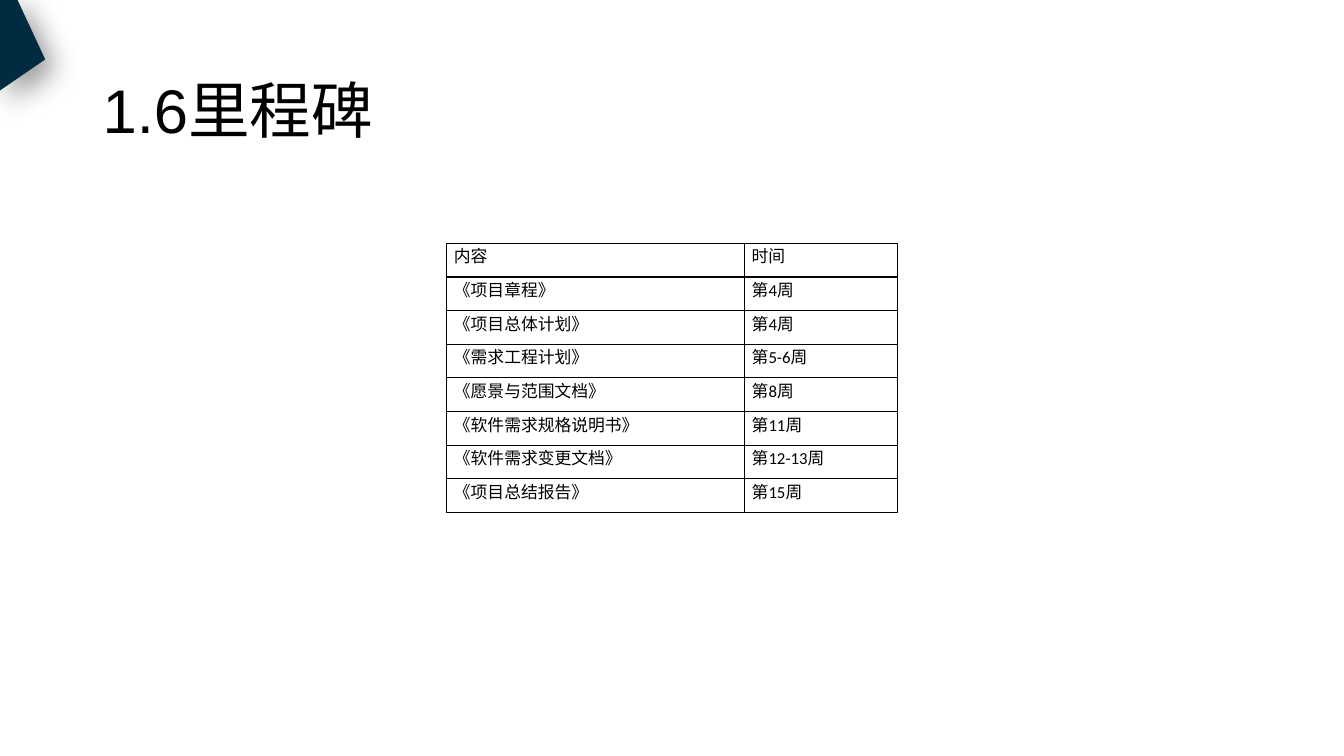
import pptx
import pptx.util
import pptx.dml.color
import pptx.enum.text
import pptx.oxml
import pptx.oxml.ns
import lxml.etree

Cm = pptx.util.Cm
Pt = pptx.util.Pt
qn = pptx.oxml.ns.qn
SPACE = pptx.oxml.ns.nsdecls("a")
HAN = "Noto Sans CJK SC"
ROWS = [
    (["内容"], ["时间"]),
    (["《项目章程》"], ["第", "4", "周"]),
    (["《项目总体计划》"], ["第", "4", "周"]),
    (["《需求工程计划》"], ["第", "5-6", "周"]),
    (["《愿景与范围文档》"], ["第", "8", "周"]),
    (["《软件需求规格说明书》"], ["第", "11", "周"]),
    (["《软件需求变更文档》"], ["第", "12-13", "周"]),
    (["《项目总结报告》"], ["第", "15", "周"]),
]


def paint(text):
    return pptx.dml.color.RGBColor.from_string(text)


def add_run(para, text, size, face):
    run = para.add_run()
    run.text = text
    run.font.size = Pt(size)
    run.font.bold = False
    run.font.color.rgb = paint("000000")
    run.font.name = face
    east = lxml.etree.SubElement(run._r.get_or_add_rPr(), qn("a:ea"))
    east.set("typeface", HAN)


def add_title(slide, left, top, width, height):
    title = slide.shapes.title
    title.left, title.top = Cm(left), Cm(top)
    title.width, title.height = Cm(width), Cm(height)
    frame = title.text_frame
    frame.word_wrap = True
    frame.vertical_anchor = pptx.enum.text.MSO_ANCHOR.MIDDLE
    para = frame.paragraphs[0]
    para.alignment = pptx.enum.text.PP_ALIGN.LEFT
    para.line_spacing = 0.9
    add_run(para, "1.6里程碑", 44, "Arial")


def add_corner(slide, left, top, width, height):
    spots = [(0.38, 0), (0, 0), (0, 1), (1, 0.66)]
    points = [(Cm(left + x * width), Cm(top + y * height)) for x, y in spots]
    build = slide.shapes.build_freeform(*points[0])
    build.add_line_segments(points[1:], close=True)
    shape = build.convert_to_shape()
    shape.fill.solid()
    shape.fill.fore_color.rgb = paint("002B41")
    shape.line.fill.background()
    shape._element.spPr.append(pptx.oxml.parse_xml(
        f'<a:effectLst {SPACE}><a:outerShdw blurRad="{Pt(20)}" '
        f'dist="{Pt(10)}" dir="2700000" algn="tl" rotWithShape="0">'
        '<a:srgbClr val="000000"><a:alpha val="40000"/></a:srgbClr>'
        '</a:outerShdw></a:effectLst>'))


def add_edges(cell):
    props = cell._tc.get_or_add_tcPr()
    for spot, side in enumerate("LRTB"):
        props.insert(spot, pptx.oxml.parse_xml(
            f'<a:ln{side} {SPACE} w="{Pt(1)}"><a:solidFill>'
            f'<a:srgbClr val="080000"/></a:solidFill></a:ln{side}>'))


def add_grid(slide, left, top, width, height):
    shape = slide.shapes.add_table(
        len(ROWS), 2, Cm(left), Cm(top), Cm(width), Cm(height))
    table = shape.table
    table.first_row = False
    table.horz_banding = False
    for col, share in zip(table.columns, (0.66, 0.34)):
        col.width = Cm(width * share)
    for row, texts in zip(table.rows, ROWS):
        row.height = Cm(height / len(ROWS))
        for cell, parts in zip(row.cells, texts):
            cell.margin_left = cell.margin_right = Cm(0.19)
            cell.margin_top = cell.margin_bottom = 0
            cell.fill.background()
            add_edges(cell)
            for part in parts:
                face = "Calibri" if part[0].isdigit() else HAN
                add_run(cell.text_frame.paragraphs[0], part, 12, face)


def main():
    deck = pptx.Presentation()
    deck.slide_width, deck.slide_height = Cm(33.87), Cm(19.05)
    slide = deck.slides.add_slide(deck.slide_layouts[5])
    add_title(slide, 2.33, 1.01, 29.21, 3.68)
    add_corner(slide, 0, -0.02, 1.14, 2.3)
    add_grid(slide, 11.25, 6.13, 11.37, 6.79)
    deck.save("out.pptx")


if __name__ == "__main__":
    main()
